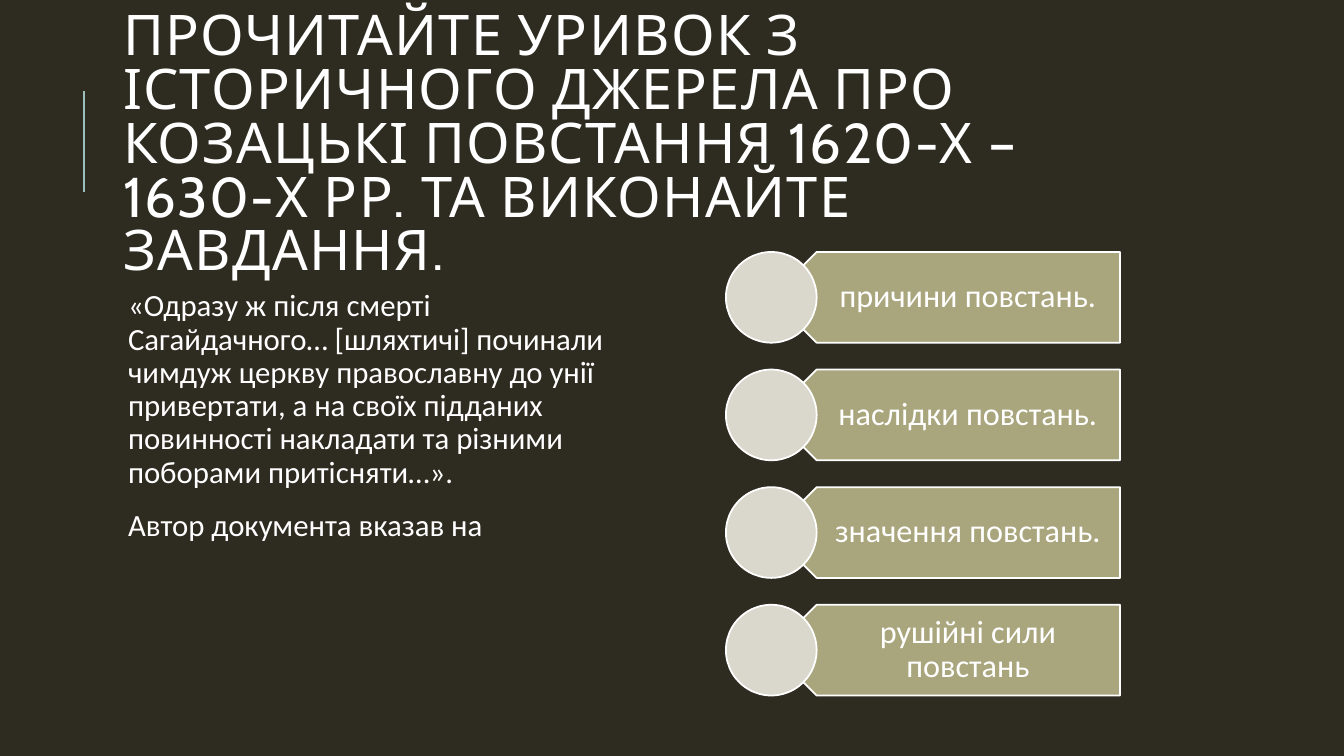
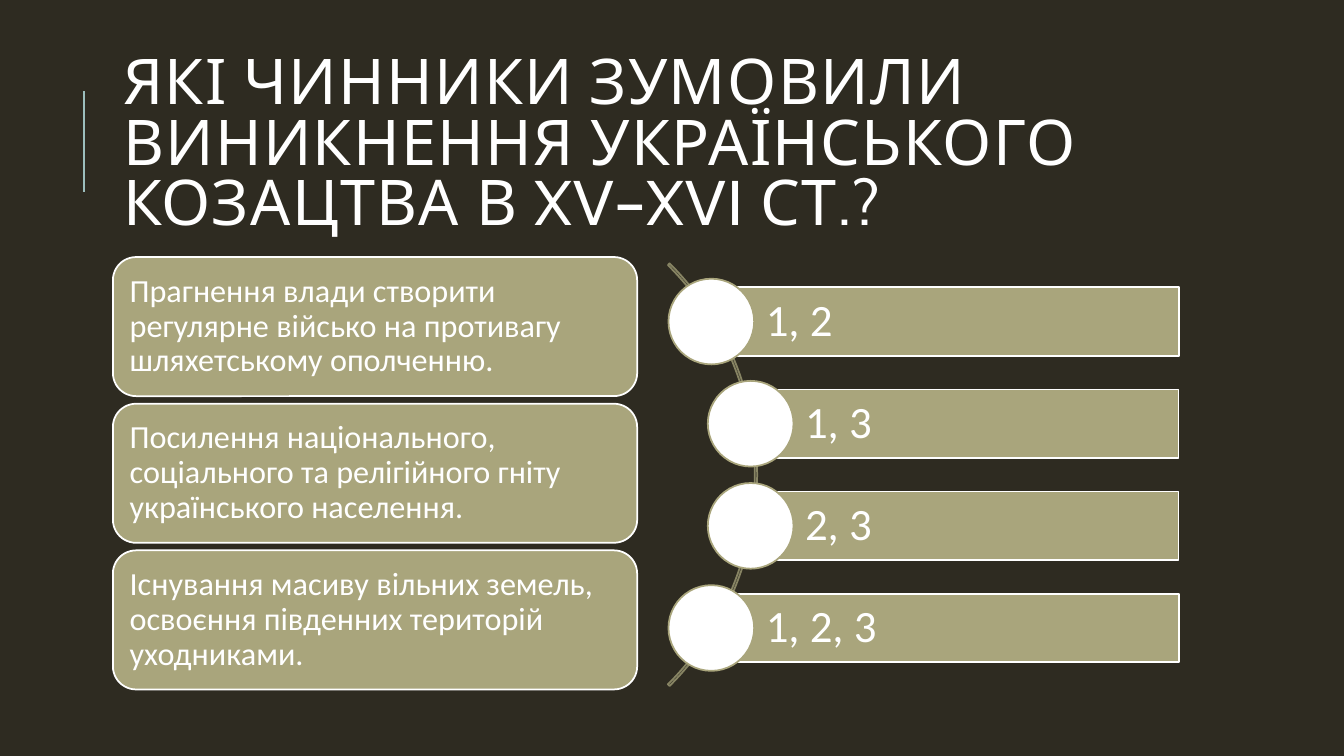
from dataclasses import dataclass

from lxml.etree import SubElement
from pptx import Presentation
from pptx.dml.color import RGBColor
from pptx.enum.shapes import MSO_CONNECTOR, MSO_SHAPE
from pptx.enum.text import MSO_ANCHOR, MSO_AUTO_SIZE, PP_ALIGN
from pptx.oxml.ns import qn
from pptx.util import Inches, Pt


@dataclass(frozen=True)
class Theme:
    background: str = "2E2B21"
    text: str = "FFFFFF"
    panel: str = "A9A57C"
    pale: str = "DAD8CC"
    accent: str = "9CBEBD"
    arc: str = "878463"
    heading_font: str = "Cabin"
    body_font: str = "Calibri"
    long_title_size: int = 40
    title_size: int = 45
    body_size: int = 22
    panel_size: int = 23
    answer_size: int = 32
    outline: float = 1.25
    accent_line: float = 1.5


@dataclass(frozen=True)
class Box:
    left: float
    top: float
    width: float
    height: float

    @property
    def middle(self):
        return self.top + self.height / 2

    def inches(self):
        return [Inches(value) for value in (self.left, self.top, self.width, self.height)]

    def rows(self, count, row_height):
        pitch = (self.height - row_height) / (count - 1)
        return [Box(self.left, self.top + index * pitch, self.width, row_height)
                for index in range(count)]

    def trim_left(self, amount):
        return Box(self.left + amount, self.top, self.width - amount, self.height)


THEME = Theme()
SLIDE_WIDTH, SLIDE_HEIGHT = 13.33, 7.5
TITLE_BOX = Box(1.12, 0.64, 10.63, 1.64)
COLUMN_WIDTH = 5.2


def color(value):
    return RGBColor.from_string(value)


def place(shape, box):
    shape.left, shape.top, shape.width, shape.height = box.inches()


def format_runs(paragraph, size, font_name=THEME.body_font, line_spacing=0.9):
    paragraph.line_spacing = line_spacing
    for run in paragraph.runs:
        run.font.size = Pt(size)
        run.font.name = font_name
        run.font.color.rgb = color(THEME.text)


def set_insets(text_frame, left, top, right, bottom):
    text_frame.margin_left, text_frame.margin_top = Inches(left), Inches(top)
    text_frame.margin_right, text_frame.margin_bottom = Inches(right), Inches(bottom)


def add_outlined_shape(slide, kind, box, fill, line):
    shape = slide.shapes.add_shape(kind, *box.inches())
    shape.shadow.inherit = False
    if fill:
        shape.fill.solid()
        shape.fill.fore_color.rgb = color(fill)
    else:
        shape.fill.background()
    shape.line.color.rgb = color(line)
    shape.line.width = Pt(THEME.outline)
    return shape


def add_panel(slide, kind, box, text, size, insets, alignment=PP_ALIGN.LEFT):
    panel = add_outlined_shape(slide, kind, box, THEME.panel, THEME.text)
    text_frame = panel.text_frame
    text_frame.word_wrap = True
    text_frame.vertical_anchor = MSO_ANCHOR.MIDDLE
    set_insets(text_frame, *insets)
    text_frame.text = text
    text_frame.paragraphs[0].alignment = alignment
    format_runs(text_frame.paragraphs[0], size)
    return panel


def add_heading(slide, text, size):
    title = slide.shapes.title
    place(title, TITLE_BOX)
    text_frame = title.text_frame
    text_frame.text = text
    text_frame.word_wrap = True
    text_frame.auto_size = MSO_AUTO_SIZE.NONE
    text_frame.vertical_anchor = MSO_ANCHOR.MIDDLE
    paragraph = text_frame.paragraphs[0]
    paragraph.alignment = PP_ALIGN.LEFT
    format_runs(paragraph, size, THEME.heading_font, 0.8)
    for run in paragraph.runs:
        run.font._element.set("spc", "100")

    line_x = Inches(0.83)
    line = slide.shapes.add_connector(
        MSO_CONNECTOR.STRAIGHT, line_x, Inches(1.9), line_x, Inches(0.9))
    line.line.color.rgb = color(THEME.accent)
    line.line.width = Pt(THEME.accent_line)
    SubElement(line._element.spPr, qn("a:effectLst"))


def add_body(slide, box, texts):
    body = slide.placeholders[1]
    place(body, box)
    text_frame = body.text_frame
    text_frame.text = "\n".join(texts)
    text_frame.auto_size = MSO_AUTO_SIZE.NONE
    set_insets(text_frame, 0.05, 0.05, 0.05, 0.05)
    for index, paragraph in enumerate(text_frame.paragraphs):
        properties = paragraph._p.get_or_add_pPr()
        properties.set("marL", str(Inches(0.1)))
        properties.set("indent", "0")
        SubElement(properties, qn("a:buNone"))
        paragraph.space_before = Pt(12 if index else 0)
        paragraph.space_after = Pt(2)
        format_runs(paragraph, THEME.body_size)


def add_pentagon_list(slide, box, texts):
    diameter = 0.9
    for row, text in zip(box.rows(len(texts), diameter), texts):
        pentagon = add_panel(
            slide, MSO_SHAPE.PENTAGON, row.trim_left(diameter / 2), text,
            THEME.panel_size, (0.4, 0.1, 0.18, 0.1), PP_ALIGN.CENTER)
        pentagon._element.spPr.xfrm.set("flipH", "1")
        circle = Box(row.left, row.top, diameter, diameter)
        add_outlined_shape(slide, MSO_SHAPE.OVAL, circle, THEME.pale, THEME.text)


def add_statement_list(slide, box, texts):
    for row, text in zip(box.rows(len(texts), 1.38), texts):
        add_panel(slide, MSO_SHAPE.ROUNDED_RECTANGLE, row, text,
                  THEME.panel_size, (0.1, 0.1, 0.1, 0.1))


def add_arc_list(slide, box, texts):
    arc_size, bar_height, diameter, inner_indent = 5.93, 0.68, 0.85, 0.39
    arc_box = Box(box.left + 0.88 - arc_size, box.middle - arc_size / 2, arc_size, arc_size)
    arc = add_outlined_shape(slide, MSO_SHAPE.BLOCK_ARC, arc_box, None, THEME.arc)
    for index, value in enumerate((189, 27, 0.004)):
        arc.adjustments[index] = value

    for index, (row, text) in enumerate(zip(box.rows(len(texts), bar_height), texts)):
        outer = index in (0, len(texts) - 1)
        row = row.trim_left(0 if outer else inner_indent)
        add_panel(slide, MSO_SHAPE.RECTANGLE, row.trim_left(diameter / 2), text,
                  THEME.answer_size, (0.54, 0.09, 0.09, 0.09))
        circle = Box(row.left, row.middle - diameter / 2, diameter, diameter)
        add_outlined_shape(slide, MSO_SHAPE.OVAL, circle, THEME.text, THEME.panel)


def build_source_slide(presentation):
    slide = presentation.slides.add_slide(presentation.slide_layouts[1])
    add_heading(
        slide,
        "ПРОЧИТАЙТЕ УРИВОК З ІСТОРИЧНОГО ДЖЕРЕЛА ПРО КОЗАЦЬКІ ПОВСТАННЯ "
        "1620-Х – 1630-Х РР. ТА ВИКОНАЙТЕ ЗАВДАННЯ.",
        THEME.long_title_size)
    add_body(slide, Box(TITLE_BOX.left, 2.83, COLUMN_WIDTH, 4.4), [
        "«Одразу ж після смерті Сагайдачного… [шляхтичі] починали чимдуж церкву "
        "православну до унії привертати, а на своїх підданих повинності накладати "
        "та різними поборами притісняти…».",
        "Автор документа вказав на",
    ])
    add_pentagon_list(slide, Box(7.2, 2.5, 3.91, 4.4), [
        "причини повстань.",
        "наслідки повстань.",
        "значення повстань.",
        "рушійні сили повстань",
    ])


def build_factors_slide(presentation):
    slide = presentation.slides.add_slide(presentation.slide_layouts[5])
    add_heading(
        slide,
        "ЯКІ ЧИННИКИ ЗУМОВИЛИ ВИНИКНЕННЯ УКРАЇНСЬКОГО КОЗАЦТВА В XV–XVI СТ.?",
        THEME.title_size)
    add_statement_list(slide, Box(TITLE_BOX.left, 2.55, COLUMN_WIDTH, 4.29), [
        "Прагнення влади створити регулярне військо на противагу шляхетському ополченню.",
        "Посилення національного, соціального та релігійного гніту українського населення.",
        "Існування масиву вільних земель, освоєння південних територій уходниками.",
    ])
    add_arc_list(slide, Box(6.63, 2.85, 5.06, 3.72), ["1, 2", "1, 3", "2, 3", "1, 2, 3"])


def main():
    presentation = Presentation()
    presentation.slide_width = Inches(SLIDE_WIDTH)
    presentation.slide_height = Inches(SLIDE_HEIGHT)
    background = presentation.slide_master.background.fill
    background.solid()
    background.fore_color.rgb = color(THEME.background)
    build_source_slide(presentation)
    build_factors_slide(presentation)
    presentation.save("out.pptx")


if __name__ == "__main__":
    main()
